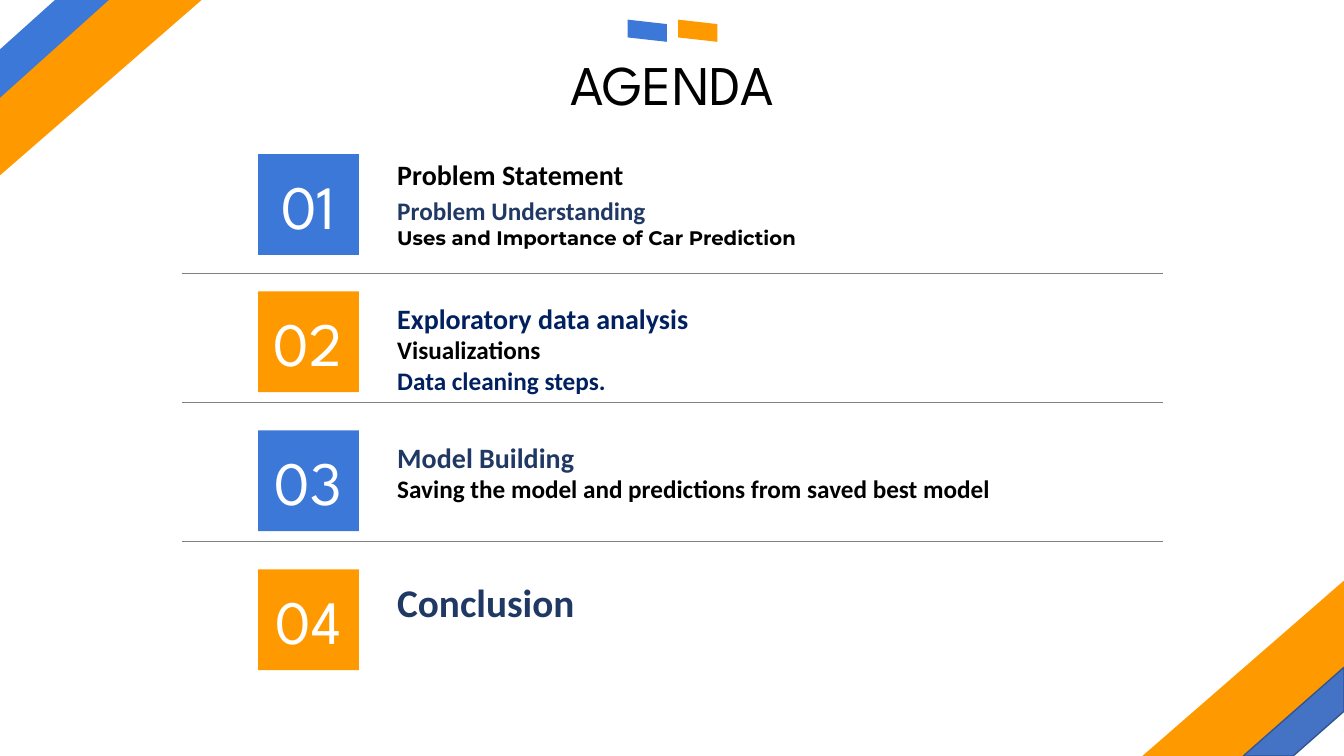
from dataclasses import dataclass

from lxml import etree
from pptx import Presentation
from pptx.dml.color import RGBColor
from pptx.enum.shapes import MSO_CONNECTOR, MSO_SHAPE
from pptx.enum.text import MSO_ANCHOR, MSO_AUTO_SIZE, PP_ALIGN
from pptx.oxml.ns import qn
from pptx.util import Inches, Pt

LINE = MSO_CONNECTOR.STRAIGHT
SQUARE = MSO_SHAPE.RECTANGLE
STRIPE = MSO_SHAPE.DIAGONAL_STRIPE
SLANTED_TAB = MSO_SHAPE.FLOWCHART_DATA
TOP, MIDDLE = MSO_ANCHOR.TOP, MSO_ANCHOR.MIDDLE
LEFT, CENTER = PP_ALIGN.LEFT, PP_ALIGN.CENTER
NO_AUTOFIT = MSO_AUTO_SIZE.NONE

SLIDE_W, SLIDE_H = 13.33, 7.5
MARGIN = 0.33
BADGE_LEFT, BADGE_SIZE = 2.56, 1
TEXT_LEFT, TEXT_W = 3.94, 6.84
DIVIDER_LEFT, DIVIDER_RIGHT = 1.81, 11.53
TAB_W, TAB_H, TAB_PITCH = 0.22, 0.39, 0.5


@dataclass(frozen=True)
class Theme:
    display: str = "League Spartan"
    body: str = "Calibri"
    accent: str = "Montserrat"
    blue: str = "3C78D8"
    orange: str = "FF9900"
    steel: str = "4472C4"
    steel_edge: str = "325491"
    gray: str = "7F7F7F"
    white: str = "FFFFFF"
    black: str = "000000"
    navy: str = "203864"
    deep_navy: str = "002060"
    title_pt: int = 40
    badge_pt: int = 44
    closing_pt: int = 28
    heading_pt: int = 20
    detail_pt: int = 18
    small_pt: int = 14


THEME = Theme()


@dataclass(frozen=True)
class Entry:
    text: str
    color: str
    size: int = THEME.detail_pt
    font: str = THEME.body
    bold: bool = True


@dataclass(frozen=True)
class Section:
    """One agenda row; the drops are measured down from the badge top."""
    top: float
    heading: Entry
    heading_drop: float
    details: tuple = ()
    detail_drop: float = 0.43


SECTIONS = (
    Section(1.53, Entry("Problem Statement", THEME.black, THEME.heading_pt), 0.03,
            (Entry("Problem Understanding", THEME.navy),
             Entry("Uses and Importance of Car Prediction", THEME.black,
                   THEME.small_pt, THEME.accent)), 0.41),
    Section(2.89, Entry("Exploratory data analysis", THEME.deep_navy,
                        THEME.heading_pt), 0.1,
            (Entry("Visualizations", THEME.black),
             Entry("Data cleaning steps.", THEME.deep_navy))),
    Section(4.27, Entry("Model Building", THEME.navy, THEME.heading_pt), 0.1,
            (Entry("Saving the model and predictions from saved best model",
                   THEME.black),)),
    Section(5.65, Entry("Conclusion", THEME.navy, THEME.closing_pt), 0.09),
)
DIVIDER_TOPS = (2.71, 3.99, 5.37)


def write(frame, entries, align=LEFT, anchor=TOP):
    """Fill a text frame with one paragraph per entry."""
    frame.word_wrap = True
    frame.auto_size = NO_AUTOFIT
    frame.vertical_anchor = anchor
    frame.margin_left = frame.margin_right = 0
    frame.margin_top = frame.margin_bottom = 0
    for index, entry in enumerate(entries):
        paragraph = frame.add_paragraph() if index else frame.paragraphs[0]
        paragraph.alignment = align
        paragraph.line_spacing = 1.0
        paragraph.space_before = Pt(0)
        run = paragraph.add_run()
        run.text = entry.text
        run.font.name = entry.font
        run.font.size = Pt(entry.size)
        run.font.bold = entry.bold
        run.font.color.rgb = RGBColor.from_string(entry.color)


def add_block(slide, preset, left, top, width, height, fill, edge=None):
    block = slide.shapes.add_shape(
        preset, Inches(left), Inches(top), Inches(width), Inches(height))
    block.shadow.inherit = False
    block.fill.solid()
    block.fill.fore_color.rgb = RGBColor.from_string(fill)
    if edge:
        block.line.color.rgb = RGBColor.from_string(edge)
        block.line.width = Pt(1)
    else:
        block.line.fill.background()
    return block


def add_corner_stripe(slide, width, height, fill, edge=None, opposite=False):
    """Put a stripe in the top left corner, or turned in the bottom right."""
    left, top = (SLIDE_W - width, SLIDE_H - height) if opposite else (0, 0)
    stripe = add_block(slide, STRIPE, left, top, width, height, fill, edge)
    stripe.adjustments[0] = 0.505
    stripe.rotation = 180 if opposite else 0


def add_title(slide):
    title = slide.shapes.title
    title.left, title.top = Inches(MARGIN), Inches(0.49)
    title.width, title.height = Inches(SLIDE_W - 2 * MARGIN), Inches(0.67)
    agenda = Entry("AGENDA", THEME.black, THEME.title_pt, THEME.display, False)
    write(title.text_frame, [agenda], CENTER, MIDDLE)


def add_tabs(slide):
    for index, color in enumerate((THEME.blue, THEME.orange)):
        tab = add_block(slide, SLANTED_TAB, 6.31 + index * TAB_PITCH, 0.11,
                        TAB_W, TAB_H, color)
        tab.rotation = 270


def add_divider(slide, top):
    divider = slide.shapes.add_connector(
        LINE, Inches(DIVIDER_LEFT), Inches(top), Inches(DIVIDER_RIGHT), Inches(top))
    divider.line.color.rgb = RGBColor.from_string(THEME.gray)
    divider.line.width = Pt(0.75)
    etree.SubElement(divider._element.spPr, qn("a:effectLst"))


def add_text(slide, top, height, entries):
    box = slide.shapes.add_textbox(
        Inches(TEXT_LEFT), Inches(top), Inches(TEXT_W), Inches(height))
    write(box.text_frame, entries)


def add_section(slide, number, section):
    color = THEME.blue if number % 2 else THEME.orange
    badge = add_block(slide, SQUARE, BADGE_LEFT, section.top,
                      BADGE_SIZE, BADGE_SIZE, color)
    label = Entry(f"{number:02d}", THEME.white, THEME.badge_pt, THEME.display, False)
    write(badge.text_frame, [label], CENTER, MIDDLE)
    heading_h = 0.32 if section.details else 0.8
    add_text(slide, section.top + section.heading_drop, heading_h, [section.heading])
    if section.details:
        add_text(slide, section.top + section.detail_drop,
                 0.32 * len(section.details), section.details)


def main():
    deck = Presentation()
    deck.slide_width, deck.slide_height = Inches(SLIDE_W), Inches(SLIDE_H)
    slide = deck.slides.add_slide(deck.slide_layouts[5])
    add_tabs(slide)
    add_title(slide)
    for top in DIVIDER_TOPS:
        add_divider(slide, top)
    for number, section in enumerate(SECTIONS, start=1):
        add_section(slide, number, section)
    add_corner_stripe(slide, 2, 1.74, THEME.orange)
    add_corner_stripe(slide, 1.08, 0.97, THEME.blue)
    add_corner_stripe(slide, 2, 1.74, THEME.orange, opposite=True)
    add_corner_stripe(slide, 1, 0.88, THEME.steel, THEME.steel_edge, opposite=True)
    deck.save("out.pptx")


if __name__ == "__main__":
    main()
